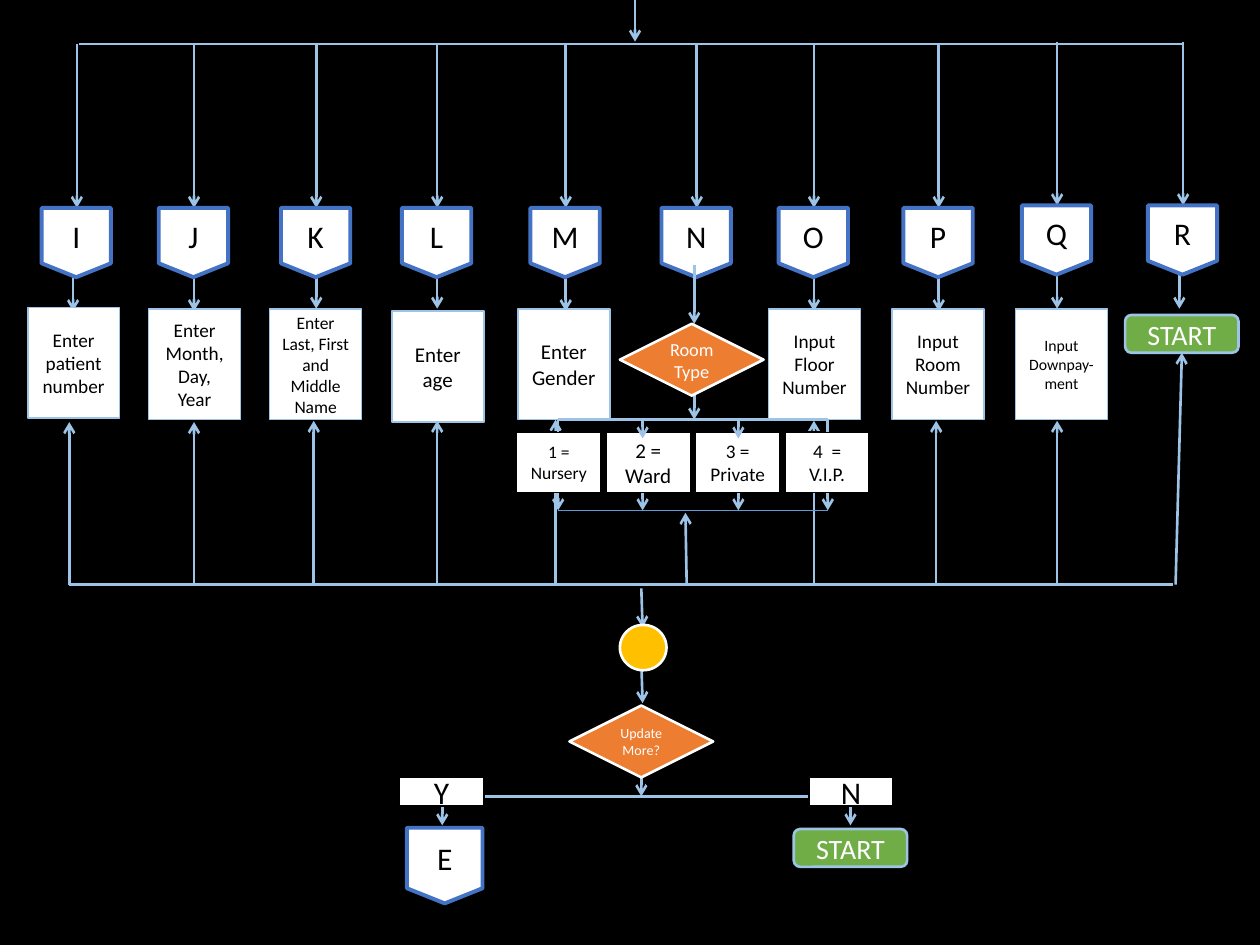
from lxml import etree
from pptx import Presentation
from pptx.dml.color import RGBColor
from pptx.enum.shapes import MSO_CONNECTOR as Connector, MSO_SHAPE as Shape
from pptx.enum.text import MSO_ANCHOR as Anchor, PP_ALIGN as Align
from pptx.oxml.ns import qn
from pptx.util import Inches, Pt

BLACK = RGBColor(0x00, 0x00, 0x00)
WHITE = RGBColor(0xFF, 0xFF, 0xFF)
LIGHT_BLUE = RGBColor(0x9D, 0xC3, 0xE6)
MID_BLUE = RGBColor(0x5B, 0x9B, 0xD5)
DEEP_BLUE = RGBColor(0x44, 0x72, 0xC4)
ORANGE = RGBColor(0xED, 0x7D, 0x31)
GREEN = RGBColor(0x70, 0xAD, 0x47)
GOLD = RGBColor(0xFF, 0xC0, 0x00)


def write_text(shape, text, size=11, color=BLACK, font="Calibri"):
    frame = shape.text_frame
    frame.word_wrap = True
    frame.vertical_anchor = Anchor.MIDDLE
    paragraph = frame.paragraphs[0]
    paragraph.alignment = Align.CENTER
    run = paragraph.add_run()
    run.text = text
    run.font.name = font
    run.font.size = Pt(size)
    run.font.color.rgb = color


class Flowchart:
    """Holds the slide and draws each kind of flowchart element."""

    def __init__(self, slide):
        self.slide = slide

    def line(self, x1, y1, x2, y2, color=LIGHT_BLUE, width=1.5, arrow=False):
        connector = self.slide.shapes.add_connector(
            Connector.STRAIGHT, Inches(x1), Inches(y1), Inches(x2), Inches(y2))
        connector.line.color.rgb = color
        connector.line.width = Pt(width)
        if arrow:
            etree.SubElement(connector.line._get_or_add_ln(), qn("a:tailEnd"), type="arrow")
        etree.SubElement(connector._element.spPr, qn("a:effectLst"))

    def arrow(self, x1, y1, x2, y2):
        self.line(x1, y1, x2, y2, arrow=True)

    def down(self, x, top, length):
        self.arrow(x, top, x, top + length)

    def shape(self, kind, left, top, width, height, fill=WHITE, line=LIGHT_BLUE, weight=1.5):
        shape = self.slide.shapes.add_shape(
            kind, Inches(left), Inches(top), Inches(width), Inches(height))
        shape.shadow.inherit = False
        shape.fill.solid()
        shape.fill.fore_color.rgb = fill
        shape.line.color.rgb = line
        shape.line.width = Pt(weight)
        return shape

    def page_link(self, letter, left, top, side=0.55):
        shape = self.shape(Shape.FLOWCHART_OFFPAGE_CONNECTOR, left, top, side, side,
                           line=DEEP_BLUE, weight=2.25)
        write_text(shape, letter, size=18)

    def step(self, text, left, top, size):
        shape = self.shape(Shape.RECTANGLE, left, top, 0.73, 0.88, weight=1)
        write_text(shape, text, size=size)

    def option(self, text, left, top, height, size):
        shape = self.shape(Shape.RECTANGLE, left, top, 0.67, height, line=BLACK, weight=1)
        write_text(shape, text, size=size)

    def decision(self, text, left, top, size):
        shape = self.shape(Shape.FLOWCHART_DECISION, left, top, 1.14, 0.57,
                           fill=ORANGE, line=WHITE)
        write_text(shape, text, size=size, color=WHITE)

    def start(self, left, top):
        shape = self.shape(Shape.ROUNDED_RECTANGLE, left, top, 0.9, 0.3, fill=GREEN)
        write_text(shape, "START", size=16, color=WHITE)


# Letter, centre, link top
LINKS = [("I", 0.61, 1.65), ("J", 1.54, 1.65), ("K", 2.51, 1.65), ("L", 3.47, 1.65),
         ("M", 4.49, 1.65), ("N", 5.53, 1.65), ("O", 6.46, 1.65), ("P", 7.45, 1.65),
         ("Q", 8.39, 1.63), ("R", 9.39, 1.63)]

# Centre and top of the short arrows below the links
LINK_ARROWS = [(0.58, 2), (1.54, 2), (2.51, 1.98), (3.47, 1.98), (4.49, 2),
               (6.46, 2), (7.45, 2), (8.39, 1.98), (9.36, 1.98)]

# Centre and arrow tip of the straight returns from the lower bus
RETURNS = [(0.55, 3.35), (1.54, 3.35), (2.49, 3.34), (3.47, 3.34), (4.41, 3.33),
           (6.46, 3.34), (7.43, 3.34), (8.39, 3.34)]

# Text, left, top, size
STEPS = [("Enter patient number", 0.22, 2.44, 11),
         ("Enter Month, Day, Year", 1.18, 2.45, 11),
         ("Enter Last, First and Middle Name", 2.14, 2.45, 10),
         ("Enter age", 3.11, 2.47, 12),
         ("Enter Gender", 4.11, 2.45, 12),
         ("Input Floor Number", 6.1, 2.45, 11),
         ("Input Room Number", 7.08, 2.45, 11),
         ("Input Downpay-ment", 8.06, 2.45, 9)]

# Text, size, arrow centre; the boxes are evenly spaced
ROOMS = [("1 = Nursery", 10, 4.43), ("2 = Ward", 12, 5.1),
         ("3 = Private", 11, 5.86), ("4  = V.I.P.", 11, 6.57)]


def draw_returns(chart):
    bus = 4.64
    chart.line(9.31, bus, 0.55, bus)
    for x, tip in RETURNS:
        chart.arrow(x, bus, x, tip)
    chart.arrow(5.45, bus, 5.44, 4.07)
    chart.arrow(9.33, bus, 9.38, 2.8)


def draw_links(chart):
    for x, top in LINK_ARROWS:
        chart.down(x, top, 0.47)
    chart.line(0.63, 0.35, 9.39, 0.35)
    chart.down(5.04, 0, 0.33)
    for letter, x, top in LINKS:
        chart.down(x, top - 1.3, 1.3)
        chart.page_link(letter, x - 0.28, top)


def draw_room_types(chart):
    chart.down(5.51, 2.86, 0.47)
    chart.down(5.51, 2.1, 0.47)
    chart.decision("Room Type", 4.92, 2.57, 10.5)
    chart.line(4.43, 3.33, 6.57, 3.33)
    chart.line(4.43, 4.05, 6.57, 4.05, color=MID_BLUE, width=0.5)
    for index, (text, size, x) in enumerate(ROOMS):
        chart.down(x, 3.81, 0.24)
        chart.option(text, 4.1 + index * 0.71, 3.43, 0.48, size)
    # The outer arrowheads stay behind their boxes
    for x in (5.1, 5.86):
        chart.down(x, 3.33, 0.15)
    for x in (4.43, 6.57):
        chart.line(x, 3.33, x, 3.43)


def draw_update_loop(chart):
    chart.arrow(5.09, 4.67, 5.1, 4.98)
    chart.arrow(5.09, 5.26, 5.1, 5.58)
    chart.shape(Shape.OVAL, 4.92, 4.96, 0.37, 0.36, fill=GOLD, line=WHITE)
    chart.down(5.09, 6.01, 0.31)
    chart.decision("Update More?", 4.52, 5.6, 8)
    chart.line(6.76, 6.32, 3.5, 6.32)
    for answer, x, left in (("Y", 3.51, 3.17), ("N", 6.75, 6.42)):
        chart.down(x, 6.32, 0.23)
        chart.option(answer, left, 6.17, 0.23, 18)
    chart.page_link("E", 3.23, 6.57, side=0.6)
    chart.start(6.3, 6.58)


def main():
    presentation = Presentation()
    presentation.slide_width = Inches(10)
    presentation.slide_height = Inches(7.5)
    slide = presentation.slides.add_slide(presentation.slide_layouts[6])
    slide.background.fill.solid()
    slide.background.fill.fore_color.rgb = BLACK
    chart = Flowchart(slide)

    draw_returns(chart)
    draw_links(chart)
    for text, left, top, size in STEPS:
        chart.step(text, left, top, size)
    chart.start(8.93, 2.5)
    draw_room_types(chart)
    draw_update_loop(chart)
    presentation.save("out.pptx")


if __name__ == "__main__":
    main()
